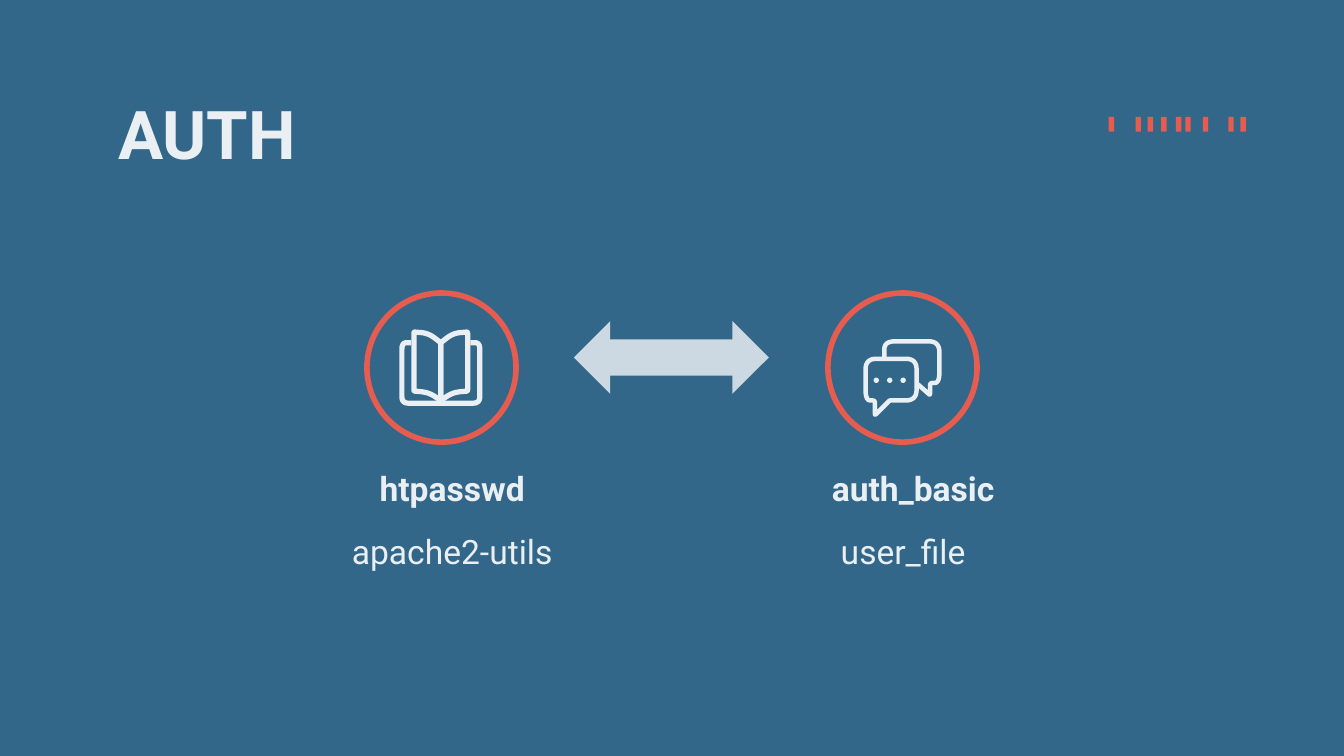
import math

import lxml.etree
import pptx
import pptx.dml.color
import pptx.enum.shapes
import pptx.enum.text
import pptx.oxml.ns
import pptx.util

Inches = pptx.util.Inches
Pt = pptx.util.Pt
SHAPE = pptx.enum.shapes.MSO_SHAPE
ANCHOR = pptx.enum.text.MSO_ANCHOR
ALIGN = pptx.enum.text.PP_ALIGN

COLORS = {"background": "33678A", "accent": "E65C4F", "light": "EAEFF3"}
FONT = "Roboto"


def color(name):
    """Return the named palette colour."""
    return pptx.dml.color.RGBColor.from_string(COLORS[name])


def add_solid(slide, kind, box, fill):
    """Add a filled preset shape without outline."""
    solid = slide.shapes.add_shape(kind, *map(Inches, box))
    solid.shadow.inherit = False
    solid.fill.solid()
    solid.fill.fore_color.rgb = color(fill)
    solid.line.fill.background()
    return solid


def add_text(slide, box, text, size, bold=False, align=ALIGN.LEFT, anchor=ANCHOR.TOP, hanging=False):
    """Add a one-line text box, with a hanging indent if asked."""
    frame = slide.shapes.add_textbox(*map(Inches, box)).text_frame
    frame.word_wrap = True
    frame.vertical_anchor = anchor
    for side in ("left", "right", "top", "bottom"):
        setattr(frame, f"margin_{side}", Inches(0.1))
    paragraph = frame.paragraphs[0]
    paragraph.alignment = align
    if hanging:
        properties = paragraph._p.get_or_add_pPr()
        properties.set("marL", str(Inches(0.5)))
        properties.set("indent", str(Inches(-0.35)))
    run = paragraph.add_run()
    run.text = text
    run.font.name = FONT
    run.font.size = Pt(size)
    run.font.bold = bold
    run.font.color.rgb = color("light")


def round_corner(before, corner, after):
    """Return the points of a curve that rounds one corner."""
    x, y, radius = corner
    if not radius:
        return [(x, y)]
    ends = []
    for neighbour in (before, after):
        dx, dy = neighbour[0] - x, neighbour[1] - y
        share = min(radius / math.hypot(dx, dy), 0.5)
        ends.append((x + dx * share, y + dy * share))
    (x0, y0), (x1, y1) = ends
    steps = [i / 8 for i in range(9)]
    return [((1 - t) ** 2 * x0 + 2 * t * (1 - t) * x + t * t * x1,
             (1 - t) ** 2 * y0 + 2 * t * (1 - t) * y + t * t * y1) for t in steps]


def add_stroke(slide, left, top, corners, width, closed):
    """Draw an outline through (x, y, radius) corners."""
    count = len(corners)
    points = [(Inches(left + x), Inches(top + y))
              for i in range(count)
              for x, y in round_corner(corners[i - 1], corners[i], corners[(i + 1) % count])]
    builder = slide.shapes.build_freeform(*points[0])
    builder.add_line_segments(points[1:], close=closed)
    stroke = builder.convert_to_shape()
    stroke.shadow.inherit = False
    stroke.fill.background()
    stroke.line.color.rgb = color("light")
    stroke.line.width = Pt(width)


def add_book(slide, left, top):
    """Draw an open book from its cover and two mirrored pages."""
    cover = [(0.09, 0.1, 0), (0.02, 0.1, 0.05), (0.02, 0.55, 0.05),
             (0.6, 0.55, 0.05), (0.6, 0.1, 0.05), (0.53, 0.1, 0)]
    page = [(0.11, 0.02, 0.01), (0.22, 0.03, 0.1), (0.31, 0.1, 0),
            (0.31, 0.53, 0), (0.22, 0.47, 0.1), (0.11, 0.46, 0.01)]
    facing_page = [(0.62 - x, y, radius) for x, y, radius in page]
    add_stroke(slide, left, top, cover, 2.8, False)
    for leaf in (page, facing_page):
        add_stroke(slide, left, top, leaf, 2.8, True)


def add_chat(slide, left, top):
    """Draw two speech bubbles, the front one with three dots."""
    back = [(0.16, 0.14, 0), (0.16, 0.02, 0.08), (0.57, 0.02, 0.08),
            (0.57, 0.33, 0.08), (0.5, 0.33, 0.02), (0.5, 0.42, 0.01), (0.41, 0.34, 0)]
    front = [(0.02, 0.15, 0.08), (0.4, 0.15, 0.08), (0.4, 0.46, 0.08), (0.2, 0.46, 0),
             (0.09, 0.57, 0.01), (0.09, 0.46, 0.02), (0.02, 0.46, 0.08)]
    add_stroke(slide, left, top, back, 2.4, False)
    add_stroke(slide, left, top, front, 2.4, True)
    for i in range(3):
        add_solid(slide, SHAPE.OVAL, (left + 0.08 + i * 0.1, top + 0.29, 0.04, 0.04), "light")


def add_ticks(slide, left, top):
    """Draw the row of small accent bars."""
    for offset in (0, 0.2, 0.29, 0.39, 0.5, 0.57, 0.7, 0.89, 0.98):
        add_solid(slide, SHAPE.RECTANGLE, (left + offset, top, 0.04, 0.11), "accent")


def add_topic(slide, left, top, term, detail, hanging):
    """Add a ring with a term and its detail below."""
    ring = slide.shapes.add_shape(SHAPE.OVAL, Inches(left + 0.76), Inches(top), Inches(1.11), Inches(1.11))
    ring.shadow.inherit = False
    ring.fill.background()
    ring.line.color.rgb = color("accent")
    ring.line.width = Pt(3)
    add_text(slide, (left, top + 1.22, 2.64, 0.48), term, 18, True, ALIGN.CENTER, ANCHOR.BOTTOM, True)
    add_text(slide, (left, top + 1.67, 2.64, 0.82), detail, 18, align=ALIGN.CENTER, hanging=hanging)


def add_link_arrow(slide, box):
    """Add the translucent double arrow between the topics."""
    arrow = add_solid(slide, SHAPE.LEFT_RIGHT_ARROW, box, "light")
    qn = pptx.oxml.ns.qn
    tint = arrow.element.spPr.find(qn("a:solidFill")).find(qn("a:srgbClr"))
    lxml.etree.SubElement(tint, qn("a:alpha")).set("val", "84000")


def main():
    """Build and save the slide."""
    deck = pptx.Presentation()
    deck.slide_width = Inches(10)
    deck.slide_height = Inches(10 * 9 / 16)
    slide = deck.slides.add_slide(deck.slide_layouts[6])
    slide.background.fill.solid()
    slide.background.fill.fore_color.rgb = color("background")
    add_ticks(slide, 8.25, 0.87)
    add_text(slide, (0.78, 0.59, 8.49, 0.67), "AUTH", 36, True)
    add_topic(slide, 1.97, 2.18, "htpasswd", "apache2-utils", True)
    add_topic(slide, 5.4, 2.18, "auth_basic", "user_file", False)
    add_book(slide, 2.97, 2.45)
    add_chat(slide, 6.42, 2.52)
    add_link_arrow(slide, (4.27, 2.39, 1.45, 0.54))
    deck.save("out.pptx")


if __name__ == "__main__":
    main()
